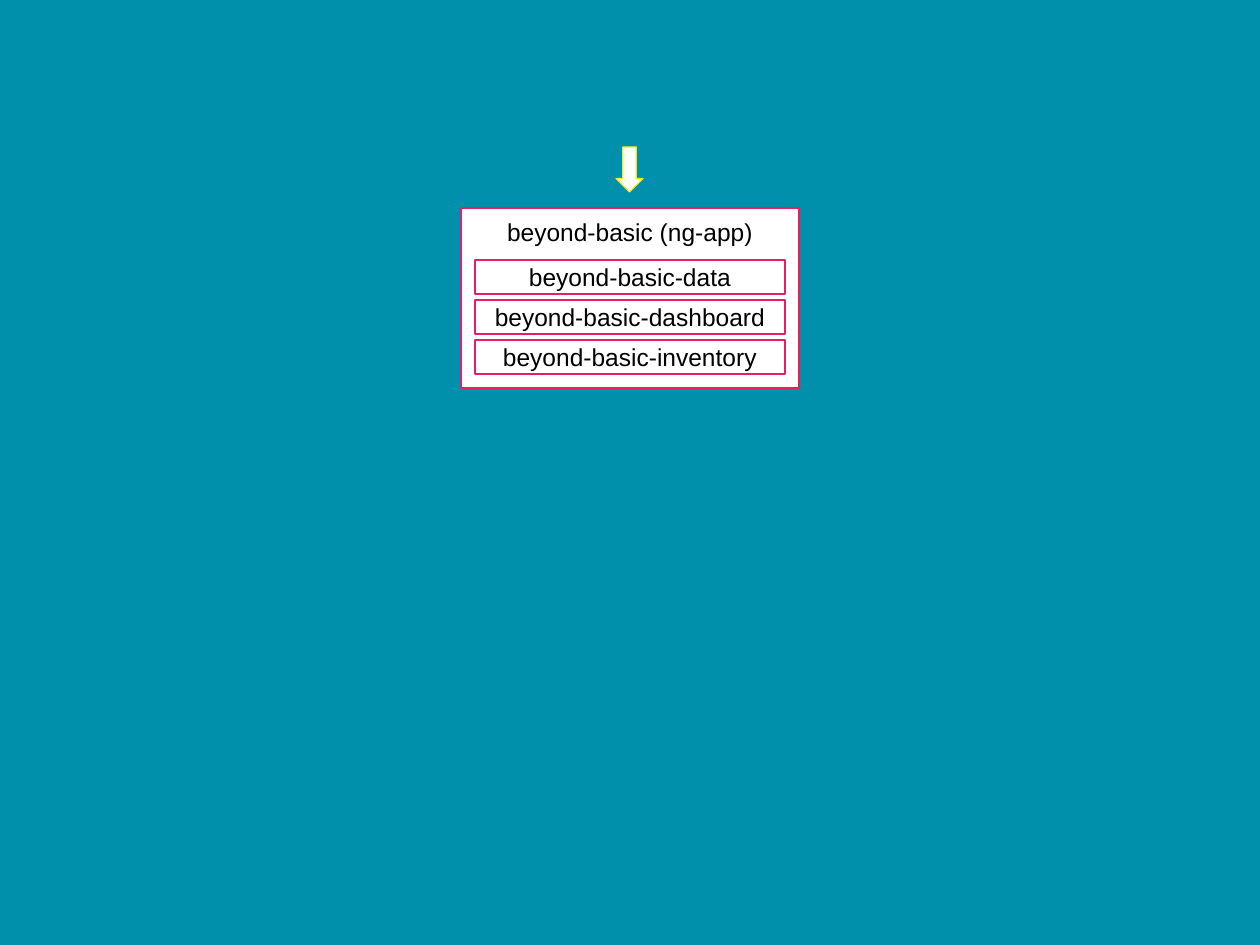
from pptx import Presentation
from pptx.dml.color import RGBColor
from pptx.enum.shapes import MSO_SHAPE as Shape
from pptx.enum.text import MSO_ANCHOR as Anchor, PP_ALIGN as Align
from pptx.util import Inches, Pt

PX = Inches(1) // 126

TEAL = RGBColor(0x00, 0x90, 0xAC)
WHITE = RGBColor(0xFF, 0xFF, 0xFF)
BLACK = RGBColor(0x00, 0x00, 0x00)
PINK = RGBColor(0xE9, 0x1D, 0x63)
YELLOW = RGBColor(0xF8, 0xE7, 0x1C)

MODULES = ["beyond-basic-data", "beyond-basic-dashboard", "beyond-basic-inventory"]


def emu(*lengths):
    return [length * PX for length in lengths]


def add_outlined(slide, kind, box, line_color):
    shape = slide.shapes.add_shape(kind, *emu(*box))
    shape.shadow.inherit = False
    shape.fill.solid()
    shape.fill.fore_color.rgb = WHITE
    shape.line.color.rgb = line_color
    shape.line.width = Pt(0.75)
    return shape


def write(shape, text, size=14, color=BLACK, font="Arial", align=Align.CENTER, anchor=Anchor.MIDDLE):
    frame = shape.text_frame
    frame.word_wrap = True
    frame.vertical_anchor = anchor
    frame.margin_left = frame.margin_right = Inches(0.1)
    frame.margin_top = frame.margin_bottom = Inches(0.1)
    paragraph = frame.paragraphs[0]
    paragraph.alignment = align
    run = paragraph.add_run()
    run.text = text
    run.font.size = Pt(size)
    run.font.name = font
    run.font.color.rgb = color


def add_down_arrow(slide, left, top, width, height):
    """Place a right arrow turned to point down, filling the given box."""
    turned_box = (left + (width - height) // 2, top + (height - width) // 2, height, width)
    arrow = add_outlined(slide, Shape.RIGHT_ARROW, turned_box, YELLOW)
    arrow.rotation = 90


def add_app_panel(slide, left, top, width, height, title, modules):
    add_outlined(slide, Shape.RECTANGLE, (left, top, width, height), PINK)
    inset, first_row, row_height, row_pitch = 14, 52, 34, 40
    for index, module in enumerate(modules):
        row_top = top + first_row + index * row_pitch
        row = add_outlined(slide, Shape.RECTANGLE,
                           (left + inset, row_top, width - 2 * inset, row_height), PINK)
        write(row, module)
    title_box = slide.shapes.add_textbox(*emu(left + 17, top - 4, width - 34, 45))
    write(title_box, title, anchor=Anchor.TOP)


def main():
    presentation = Presentation()
    presentation.slide_width, presentation.slide_height = emu(1260, 945)
    slide = presentation.slides.add_slide(presentation.slide_layouts[6])
    slide.background.fill.solid()
    slide.background.fill.fore_color.rgb = TEAL

    add_down_arrow(slide, 616, 147, 27, 45)
    add_app_panel(slide, 461, 208, 338, 180, "beyond-basic (ng-app)", MODULES)
    presentation.save("out.pptx")


if __name__ == "__main__":
    main()
